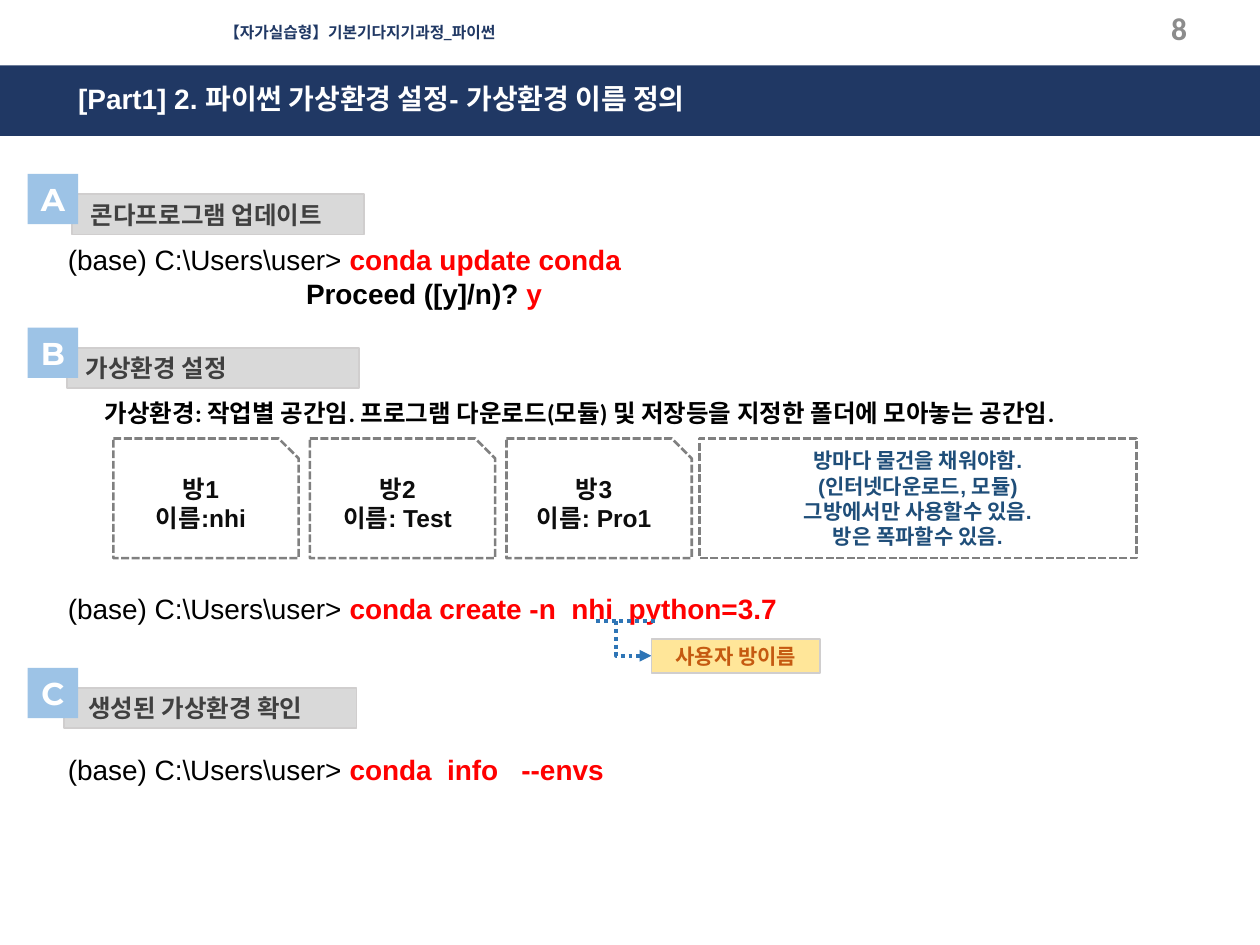
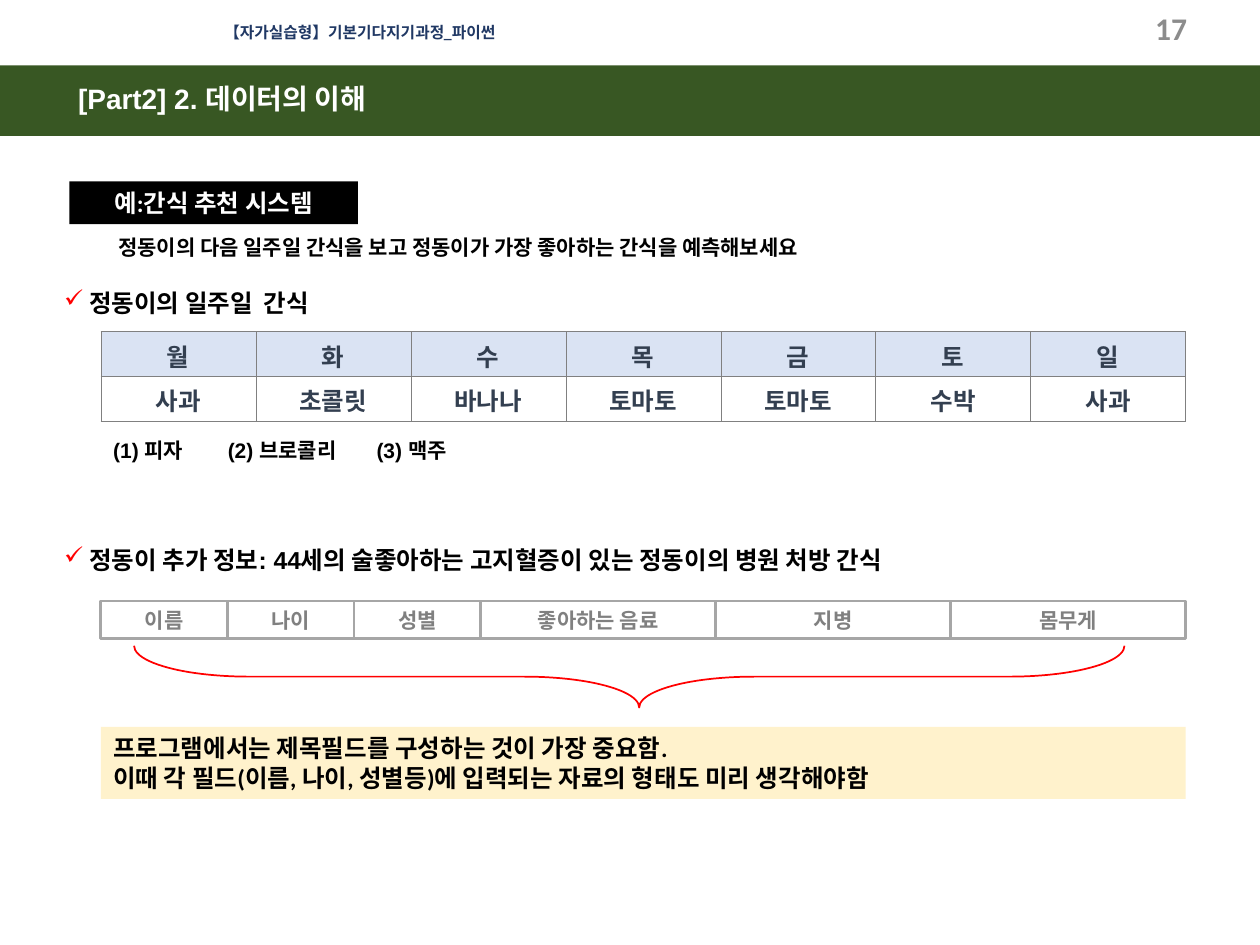
from lxml import etree
from pptx import Presentation
from pptx.dml.color import RGBColor
from pptx.enum import dml, shapes, text
from pptx.oxml import ns
from pptx.util import Inches, Pt

COLORS = {
    "navy": "203864", "green": "385723", "white": "FFFFFF", "black": "000000",
    "red": "FF0000", "number": "8C8C8C", "badge": "9DC3E6", "label": "D9D9D9",
    "label_line": "D0CECE", "label_text": "404040", "room_text": "0D0D0D",
    "dash": "808080", "note": "1F4E79", "arrow": "2E75B6", "tag": "FFE699",
    "tag_text": "C55A11", "day": "DAE3F3", "day_text": "333F50",
    "field_line": "A6A6A6", "field_text": "808080", "advice": "FFF2CC",
}
COURSE = "【자가실습형】기본기다지기과정_파이썬"
PROMPT = "(base) C:\\Users\\user> "
CENTER = text.PP_ALIGN.CENTER
MIDDLE = text.MSO_ANCHOR.MIDDLE
RECT = shapes.MSO_SHAPE.RECTANGLE
ROUNDED = shapes.MSO_SHAPE.ROUNDED_RECTANGLE
SNIPPED = shapes.MSO_SHAPE.SNIP_1_RECTANGLE


def rgb(name):
    return RGBColor.from_string(COLORS[name])


def inches(box):
    return [Inches(length) for length in box]


def add_xml(parent, tag, **attributes):
    return etree.SubElement(parent, ns.qn(tag), attributes)


def set_values(target, values):
    for name, value in values.items():
        setattr(target, name, value)


def write(frame, paragraphs, size=14, font="Arial", color="black", bold=True,
          align=text.PP_ALIGN.LEFT, spacing=None, **frame_values):
    set_values(frame, {"word_wrap": True, **frame_values})
    for index, content in enumerate(paragraphs):
        paragraph = frame.paragraphs[0] if index == 0 else frame.add_paragraph()
        set_values(paragraph, {"alignment": align, "line_spacing": spacing})
        runs = [(content, {})] if isinstance(content, str) else content
        for words, changes in runs:
            look = {"color": color, "bold": bold, **changes}
            run = paragraph.add_run()
            run.text = words
            run.font.color.rgb = rgb(look["color"])
            set_values(run.font, {"size": Pt(size), "name": font, "bold": look["bold"]})


def add_text(slide, box, paragraphs, **style):
    frame = slide.shapes.add_textbox(*inches(box)).text_frame
    write(frame, paragraphs, **style)
    return frame


def set_line(line, color, width, dash=None):
    line.color.rgb = rgb(color)
    set_values(line, {"width": Pt(width), "dash_style": dash})


def add_panel(slide, box, fill=None, line=None, preset=RECT, paragraphs=(), **style):
    panel = slide.shapes.add_shape(preset, *inches(box))
    panel.shadow.inherit = False
    if preset == ROUNDED:
        panel.adjustments[0] = 0
    if fill:
        panel.fill.solid()
        panel.fill.fore_color.rgb = rgb(fill)
    else:
        panel.fill.background()
    if line:
        set_line(panel.line, *line)
    else:
        panel.line.fill.background()
    write(panel.text_frame, paragraphs, vertical_anchor=MIDDLE, **style)
    return panel


def add_page(deck, title, number, band_color):
    slide = deck.slides.add_slide(deck.slide_layouts[5])
    heading = slide.shapes.title
    band = add_panel(slide, (0, 0.52, 10, 0.56), band_color)
    heading.element.addprevious(band.element)
    edges = zip(("left", "top", "width", "height"), inches((0.52, 0.6, 8.9, 0.37)))
    set_values(heading, dict(edges))
    write(heading.text_frame, [title], size=16, color="white",
          vertical_anchor=text.MSO_ANCHOR.TOP, auto_size=text.MSO_AUTO_SIZE.NONE)
    add_text(slide, (1.68, 0.13, 2.41, 0.25), [COURSE], size=9, font="Calibri",
             color="navy", word_wrap=False)
    add_text(slide, (7.27, 0.02, 2.25, 0.4), [number], size=18, font="Calibri",
             color="number", align=text.PP_ALIGN.RIGHT, vertical_anchor=MIDDLE)
    return slide


def add_section(slide, box, letter, title, label_offset, inset):
    left, top, width, height = box
    add_panel(slide, (left + label_offset, top + 0.16, width, 0.32), "label",
              ("label_line", 1), ROUNDED, [title], color="label_text",
              margin_left=Inches(inset))
    add_panel(slide, (left, top, height, height), "badge", paragraphs=[letter],
              size=18, font="Montserrat", color="white", align=CENTER, word_wrap=False)


def command(words):
    return [(PROMPT, {"bold": False}), (words, {"color": "red"})]


def add_update(slide, box):
    answer = [("Proceed ([y]/n)? ", {}), ("y", {"color": "red"})]
    frame = add_text(slide, box, [command("conda update conda"), answer], size=16)
    frame.paragraphs[1].runs[0].font.bold = True
    properties = frame.paragraphs[1]._p.get_or_add_pPr()
    properties.set("marL", str(Inches(1.89)))


def add_rooms(slide, box, rooms, note):
    left, top, width, height = box
    room_width, gap, note_width = 1.47, 0.09, 3.47
    dashed = ("dash", 1.5, dml.MSO_LINE.SQUARE_DOT)
    for index, room in enumerate(rooms):
        room_left = left + index * (room_width + gap)
        add_panel(slide, (room_left, top, room_width, height), "white", dashed,
                  SNIPPED, room, color="room_text", align=CENTER)
    add_panel(slide, (left + width - note_width, top, note_width, height), "white",
              dashed, paragraphs=note, size=12, color="note", align=CENTER)


def add_name_pointer(slide, box):
    left, top, width, height = box
    dotted = ("arrow", 2.25, dml.MSO_LINE.ROUND_DOT)
    underline = slide.shapes.add_connector(
        shapes.MSO_CONNECTOR.STRAIGHT, *inches((left, top, left + 0.47, top)))
    set_line(underline.line, *dotted)
    add_xml(underline.element.spPr, "a:effectLst")

    tag_left, tag_top, tag_height = left + 0.44, top + 0.14, 0.27
    tag_middle = tag_top + tag_height / 2
    bend = left + 0.16
    builder = slide.shapes.build_freeform(Inches(bend), Inches(top))
    builder.add_line_segments(
        [inches((bend, tag_middle)), inches((tag_left, tag_middle))], close=False)
    arrow = builder.convert_to_shape()
    arrow.shadow.inherit = False
    arrow.fill.background()
    set_line(arrow.line, *dotted)
    add_xml(arrow.line._get_or_add_ln(), "a:tailEnd", type="triangle")
    add_panel(slide, (tag_left, tag_top, left + width - tag_left, tag_height), "tag",
              ("label_line", 1), ROUNDED, ["사용자 방이름"], size=12,
              color="tag_text", align=CENTER)


def add_check_item(slide, box, words):
    frame = add_text(slide, box, [words])
    properties = frame.paragraphs[0]._p.get_or_add_pPr()
    properties.set("marL", str(Inches(0.2)))
    properties.set("indent", str(Inches(-0.2)))
    bullet_color = add_xml(properties, "a:buClr")
    add_xml(bullet_color, "a:srgbClr", val=COLORS["red"])
    add_xml(properties, "a:buChar", char="✓")


def style_cell(cell, words, fill):
    write(cell.text_frame, [words], font="Calibri", color="day_text", align=CENTER)
    cell.vertical_anchor = MIDDLE
    properties = cell._tc.get_or_add_tcPr()
    for side in ("lnL", "lnR", "lnT", "lnB"):
        border = add_xml(properties, f"a:{side}", w=str(Pt(0.25)))
        add_xml(add_xml(border, "a:solidFill"), "a:srgbClr", val=COLORS["dash"])
    cell.fill.solid()
    cell.fill.fore_color.rgb = rgb(fill)


def add_week(slide, box, days, snacks):
    week = slide.shapes.add_table(2, len(days), *inches(box)).table
    set_values(week, {"first_row": False, "horz_banding": False})
    for row, (names, fill) in enumerate(((days, "day"), (snacks, "white"))):
        for column, name in enumerate(names):
            style_cell(week.cell(row, column), name, fill)


def add_choices(slide, box, choices):
    frame = add_text(slide, box, ["\t".join(choices)], size=12)
    tabs = add_xml(frame.paragraphs[0]._p.get_or_add_pPr(), "a:tabLst")
    for stop in (0.91, 2.09):
        add_xml(tabs, "a:tab", pos=str(Inches(stop)), algn="l")


def add_record(slide, box, narrow_fields, wide_fields, advice):
    left, top, width, height = box
    brace_width, brace_length = 0.49, 7.86
    brace = add_panel(slide, (left + 3.95, top - 3.33, brace_width, brace_length),
                      None, ("red", 1), shapes.MSO_SHAPE.LEFT_BRACE)
    brace.rotation = 270
    brace.adjustments[0] = 1.86
    brace.adjustments[1] = 0.51

    add_panel(slide, (left, top + 1, width, height - 1), "advice", paragraphs=advice,
              font="Calibri")

    narrow = 1.005
    wide = (width - narrow * len(narrow_fields)) / len(wide_fields)
    fields = [(name, narrow) for name in narrow_fields]
    fields += [(name, wide) for name in wide_fields]
    field_left = left
    for name, field_width in fields:
        add_panel(slide, (field_left, top, field_width, 0.3), "white",
                  ("field_line", 1.5), paragraphs=[name], size=12, font="Calibri",
                  color="field_text", align=CENTER)
        field_left += field_width


def build_environment(deck):
    slide = add_page(deck, "[Part1] 2. 파이썬 가상환경 설정- 가상환경 이름 정의", "8", "navy")
    add_text(slide, (0.44, 4.56, 8.58, 0.35), [command("conda create -n  nhi  python=3.7")],
             size=16, spacing=1.5, margin_top=0, margin_bottom=0)
    add_update(slide, (0.44, 1.88, 8.71, 0.64))
    add_text(slide, (0.69, 3.11, 8.68, 0.34),
             ["가상환경: 작업별 공간임. 프로그램 다운로드(모듈) 및 저장등을 지정한 폴더에 모아놓는 공간임."],
             font="Calibri", margin_left=Inches(0.14))
    add_rooms(slide, (0.9, 3.48, 8.12, 0.95),
              [("방1", "이름:nhi"), ("방2", "이름: Test"), ("방3", "이름: Pro1")],
              ["방마다 물건을 채워야함.", "(인터넷다운로드, 모듈)",
               "그방에서만 사용할수 있음.", "방은 폭파할수 있음."])
    add_text(slide, (0.44, 5.92, 4.77, 0.37), [command("conda  info   --envs")], size=16)
    add_name_pointer(slide, (4.73, 4.93, 1.78, 0.41))
    for top, *section in (
        (1.38, "A", "콘다프로그램 업데이트", 0.35, 0.15),
        (2.6, "B", "가상환경 설정", 0.31, 0.15),
        (5.3, "C", "생성된 가상환경 확인", 0.29, 0.19),
    ):
        add_section(slide, (0.22, top, 2.32, 0.4), *section)


def build_data(deck):
    slide = add_page(deck, "[Part2] 2. 데이터의 이해", "17", "green")
    add_check_item(slide, (0.41, 2.24, 9.39, 0.34), "정동이의 일주일  간식")
    add_choices(slide, (0.8, 3.42, 5, 0.3), ["(1) 피자", "(2) 브로콜리", "(3) 맥주"])
    add_week(slide, (0.8, 2.63, 8.61, 0.71), "월화수목금토일",
             ["사과", "초콜릿", "바나나", "토마토", "토마토", "수박", "사과"])
    add_text(slide, (0.84, 1.81, 8.72, 0.3),
             ["정동이의 다음 일주일 간식을 보고 정동이가 가장 좋아하는 간식을 예측해보세요"], size=12)
    add_check_item(slide, (0.41, 4.28, 9.39, 0.34),
                   "정동이 추가 정보: 44세의 술좋아하는 고지혈증이 있는 정동이의 병원 처방 간식")
    add_record(slide, (0.8, 4.77, 8.61, 1.57), ["이름", "나이", "성별"],
               ["좋아하는 음료", "지병", "몸무게"],
               ["프로그램에서는 제목필드를 구성하는 것이 가장 중요함.",
                "이때 각 필드(이름, 나이, 성별등)에 입력되는 자료의 형태도 미리 생각해야함"])
    add_panel(slide, (0.55, 1.44, 2.29, 0.34), "black", paragraphs=["예:간식 추천 시스템"],
              font="Calibri", color="white", align=CENTER)


def main():
    deck = Presentation()
    set_values(deck, {"slide_width": Inches(10), "slide_height": Inches(7.5)})
    build_environment(deck)
    build_data(deck)
    deck.save("out.pptx")


if __name__ == "__main__":
    main()
